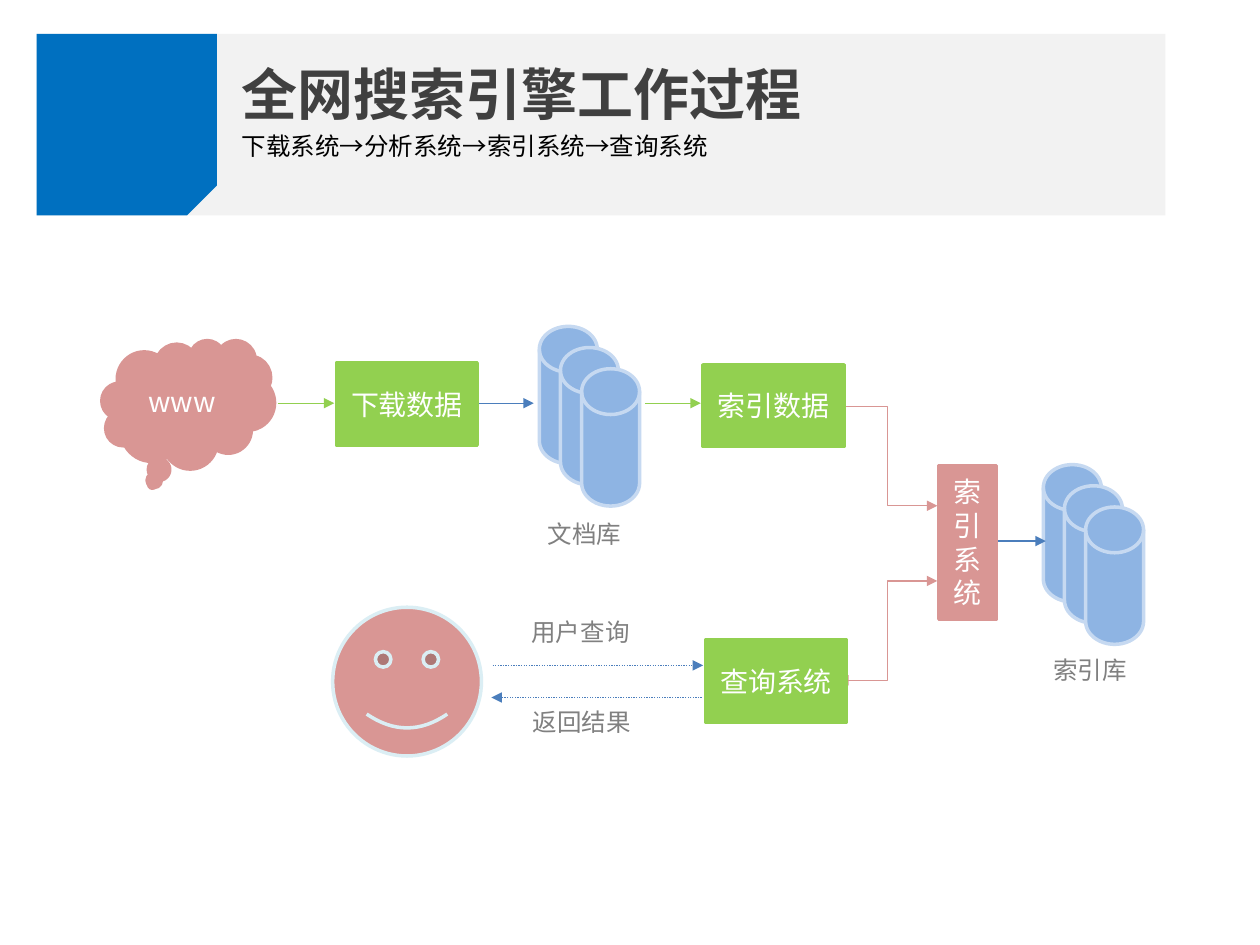
"""Build the slide showing how a web search engine works."""
import pptx
import pptx.dml.color
import pptx.enum.dml
import pptx.enum.shapes
import pptx.enum.text
import pptx.oxml.ns
import pptx.util
from lxml import etree

Pt = pptx.util.Pt
SHAPES = pptx.enum.shapes.MSO_SHAPE
CONNECTORS = pptx.enum.shapes.MSO_CONNECTOR
FONT = "Noto Sans CJK SC"
GREEN, PINK, BLUE, GRAY, WHITE = "92D050", "D99694", "4B7EBC", "808080", "FFFFFF"
color = pptx.dml.color.RGBColor.from_string
qn = pptx.oxml.ns.qn

presentation = pptx.Presentation()
presentation.slide_width, presentation.slide_height = Pt(720), Pt(540)
slide = presentation.slides.add_slide(presentation.slide_layouts[6])


def add_shape(kind, left, top, width, height, fill, line=None):
    shape = slide.shapes.add_shape(kind, Pt(left), Pt(top), Pt(width), Pt(height))
    shape.shadow.inherit = False
    shape.fill.solid()
    shape.fill.fore_color.rgb = color(fill)
    if line:
        shape.line.color.rgb = color(line)
        shape.line.width = Pt(2)
    else:
        shape.line.fill.background()
    return shape


def write_text(shape, text, size, text_color, bold=False):
    shape.text_frame.text = text
    paragraph = shape.text_frame.paragraphs[0]
    font = paragraph.runs[0].font
    font.size, font.bold, font.name = Pt(size), bold, FONT
    font.color.rgb = color(text_color)
    east_asian = etree.SubElement(paragraph.runs[0]._r.rPr, qn("a:ea"))
    east_asian.set("typeface", FONT)
    return paragraph


for width, snip, fill in [(645, 0, "F2F2F2"), (103, 0.1667, "0070C0")]:
    banner = add_shape(SHAPES.SNIP_1_RECTANGLE, 21, 19.4, width, 103.7, fill)
    banner.adjustments[0] = snip
    banner.rotation = 180
    banner._element.spPr.xfrm.set("flipH", "1")

for left, top in [(308.2, 186.5), (596.2, 265.5)]:
    for index in range(3):
        add_shape(SHAPES.FLOWCHART_MAGNETIC_DISK, left + 12.1 * index, top + 12.1 * index,
                  33.1, 78.5, "8EB4E3", "C6D9F1")

arrows = [
    (CONNECTORS.STRAIGHT, 159, 230.4, 191, 230.4, GREEN, False, ["tailEnd"]),
    (CONNECTORS.STRAIGHT, 273, 230.4, 305, 230.4, BLUE, False, ["tailEnd"]),
    (CONNECTORS.STRAIGHT, 368.5, 230.4, 400.5, 230.4, GREEN, False, ["tailEnd"]),
    (CONNECTORS.ELBOW, 479, 232.4, 535.7, 289, PINK, False, ["tailEnd"]),
    (CONNECTORS.ELBOW, 535.7, 332, 479, 388.8, PINK, False, ["headEnd", "tailEnd"]),
    (CONNECTORS.STRAIGHT, 565.2, 309.2, 597.6, 309.2, BLUE, False, ["tailEnd"]),
    (CONNECTORS.STRAIGHT, 281.5, 380.2, 401.8, 380.2, BLUE, True, ["tailEnd"]),
    (CONNECTORS.STRAIGHT, 401, 398.6, 280.8, 398.6, BLUE, True, ["tailEnd"]),
]
for kind, x1, y1, x2, y2, line_color, dotted, ends in arrows:
    arrow = slide.shapes.add_connector(kind, Pt(x1), Pt(y1), Pt(x2), Pt(y2))
    arrow.line.color.rgb = color(line_color)
    arrow.line.width = Pt(0.75)
    if dotted:
        arrow.line.dash_style = pptx.enum.dml.MSO_LINE.ROUND_DOT
    for end in ends:
        etree.SubElement(arrow.line._ln, qn("a:" + end)).set("type", "triangle")
    etree.SubElement(arrow._element.spPr, qn("a:effectLst"))

blocks = [
    (SHAPES.CLOUD_CALLOUT, 58.3, 194.4, 98.6, 73.4, PINK, "www"),
    (SHAPES.RECTANGLE, 192.2, 207.4, 80.6, 46.8, GREEN, "下载数据"),
    (SHAPES.RECTANGLE, 401.8, 208.4, 80.6, 46.8, GREEN, "索引数据"),
    (SHAPES.RECTANGLE, 403.2, 365.8, 80.6, 46.8, GREEN, "查询系统"),
    (SHAPES.RECTANGLE, 536.4, 265.9, 33.1, 87.8, PINK, "索引系统"),
]
for kind, left, top, width, height, fill, text in blocks:
    block = add_shape(kind, left, top, width, height, fill, fill)
    paragraph = write_text(block, text, 16, WHITE)
    paragraph.alignment = pptx.enum.text.PP_ALIGN.CENTER
    block.text_frame.vertical_anchor = pptx.enum.text.MSO_ANCHOR.MIDDLE
    block.text_frame.word_wrap = True

add_shape(SHAPES.SMILEY_FACE, 190.1, 347, 85, 85, PINK, "DBEEF4")

texts = [
    ("下载系统→分析系统→索引系统→查询系统", 131, 71.3, 526, 24.5, 14, "000000", True, 1),
    ("全网搜索引擎工作过程", 131, 11.5, 526, 65.5, 32, "404040", True, 1.5),
    ("文档库", 306, 293, 56.9, 24.5, 14, GRAY, False, 1),
    ("索引库", 594.7, 370.8, 56.9, 24.5, 14, GRAY, False, 1),
    ("用户查询", 296.6, 349.2, 71.3, 24.5, 14, GRAY, False, 1),
    ("返回结果", 297.4, 400.3, 71.3, 24.5, 14, GRAY, False, 1),
]
for text, left, top, width, height, size, text_color, wrap, spacing in texts:
    box = slide.shapes.add_textbox(Pt(left), Pt(top), Pt(width), Pt(height))
    paragraph = write_text(box, text, size, text_color, bold=size == 32)
    paragraph.line_spacing = float(spacing)
    box.text_frame.word_wrap = wrap
    box.text_frame.auto_size = pptx.enum.text.MSO_AUTO_SIZE.SHAPE_TO_FIT_TEXT

presentation.save("out.pptx")
